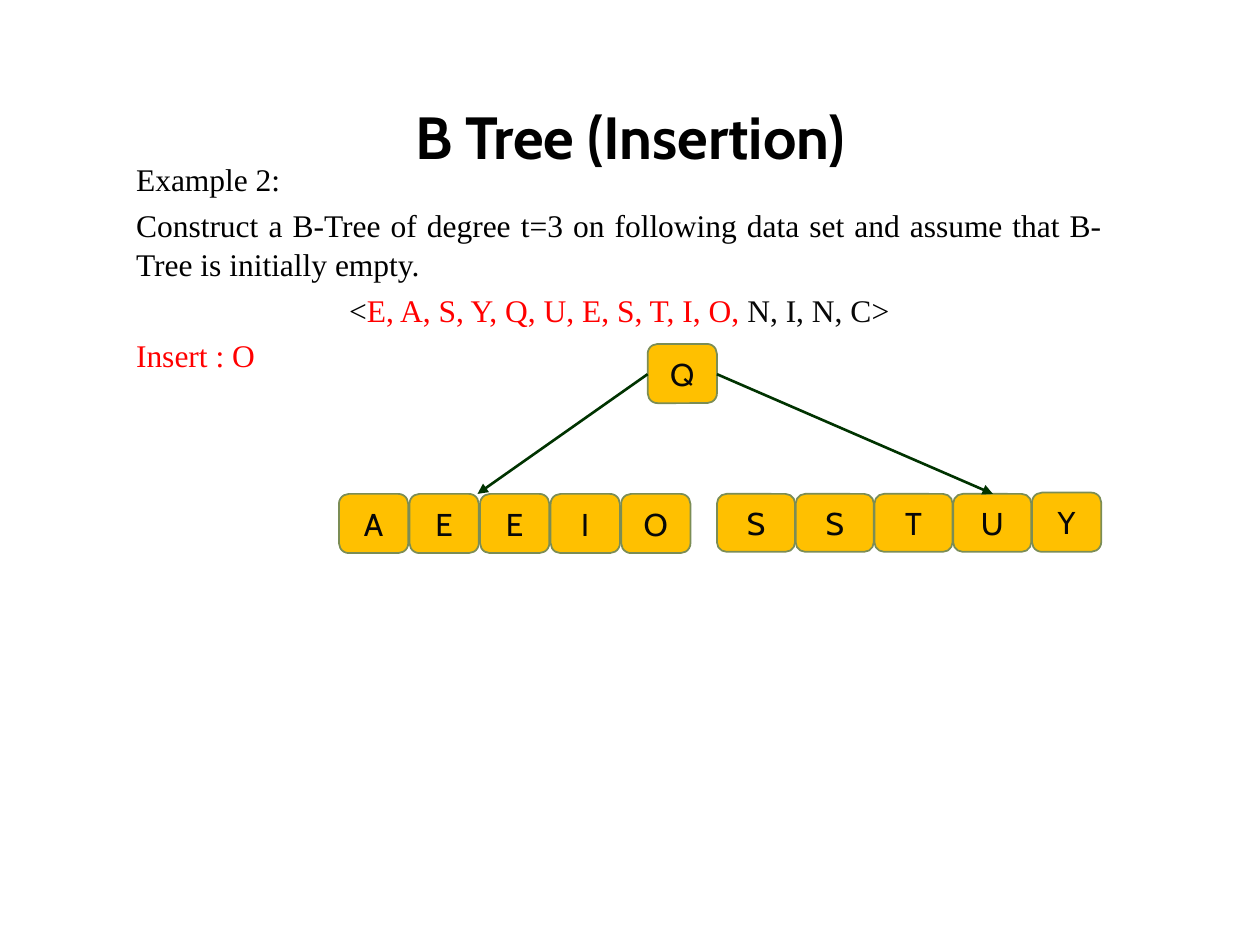
from lxml import etree
from pptx import Presentation
from pptx.dml.color import RGBColor
from pptx.enum.shapes import MSO_CONNECTOR as Connector, MSO_SHAPE as Shape
from pptx.enum.text import MSO_ANCHOR as Anchor, MSO_AUTO_SIZE as AutoSize, PP_ALIGN as Align
from pptx.oxml.ns import qn
from pptx.util import Inches, Pt

COLORS = {
    "black": "000000",
    "red": "FF0000",
    "key": "080808",
    "node": "FFC000",
    "border": "7B8D55",
    "arrow": "003300",
}
TITLE_FONT = {"name": "Cabin", "size": Pt(34), "bold": True}
BODY_FONT = {"name": "Times New Roman", "size": Pt(18)}
KEY_FONT = {"name": "Cabin", "size": Pt(18)}
BODY_SPACING = {"line_spacing": 1.04, "space_after": Pt(0)}

INTRO = [
    (Align.JUSTIFY, [("Example 2:", "black")]),
    (Align.JUSTIFY, [("Construct a B-Tree of degree t=3 on following data set and "
                      "assume that B-Tree is initially empty.", "black")]),
    (Align.CENTER, [("<", "black"), ("E, A, S, Y, Q, U, E, S, T, I, O, ", "red"),
                    ("N, I, N, C", "key"), (">", "black")]),
    (Align.LEFT, [("Insert : O", "red")]),
]


def rgb(name):
    return RGBColor.from_string(COLORS[name])


def apply(target, values):
    for name, value in values.items():
        setattr(target, name, value)


def place(shape, box):
    names = ("left", "top", "width", "height")
    apply(shape, dict(zip(names, map(Inches, box))))


def add_span(para, text, font, color):
    span = para.add_run()
    span.text = text
    apply(span.font, font)
    span.font.color.rgb = rgb(color)


def fill_title(title, box):
    place(title, box)
    frame = title.text_frame
    apply(frame, {"vertical_anchor": Anchor.MIDDLE, "auto_size": AutoSize.NONE})
    para = frame.paragraphs[0]
    para.alignment = Align.CENTER
    add_span(para, "B Tree (Insertion)", TITLE_FONT, "black")


def fill_intro(body, box):
    place(body, box)
    frame = body.text_frame
    apply(frame, {"vertical_anchor": Anchor.TOP, "auto_size": AutoSize.NONE,
                  "word_wrap": True})
    for index, (alignment, spans) in enumerate(INTRO):
        para = frame.add_paragraph() if index else frame.paragraphs[0]
        props = para._p.get_or_add_pPr()
        props.set("marL", "0")
        props.set("indent", "0")
        etree.SubElement(props, qn("a:buNone"))
        apply(para, BODY_SPACING)
        apply(para, {"alignment": alignment, "space_before": Pt(3.6 if index else 0)})
        for text, color in spans:
            add_span(para, text, BODY_FONT, color)


def add_key(page, letter, box):
    node = page.shapes.add_shape(Shape.ROUNDED_RECTANGLE, *map(Inches, box))
    node.shadow.inherit = False
    node.fill.solid()
    node.fill.fore_color.rgb = rgb("node")
    node.line.color.rgb = rgb("border")
    node.line.width = Pt(1)
    frame = node.text_frame
    frame.vertical_anchor = Anchor.MIDDLE
    para = frame.paragraphs[0]
    para.alignment = Align.CENTER
    add_span(para, letter, KEY_FONT, "key")


def add_leaf(page, letters, box, step):
    """Lay keys of the box's size side by side, one step apart."""
    left, top, width, height = box
    for index, letter in enumerate(letters):
        add_key(page, letter, (left + index * step, top, width, height))


def add_arrow(page, start, end):
    arrow = page.shapes.add_connector(Connector.STRAIGHT, *map(Inches, start + end))
    arrow.line.color.rgb = rgb("arrow")
    arrow.line.width = Pt(1.5)
    etree.SubElement(arrow.line._get_or_add_ln(), qn("a:tailEnd"), type="triangle")
    etree.SubElement(arrow._element.spPr, qn("a:effectLst"))


def add_tree(page, left, top):
    """Draw the root, its two leaves and the arrows between them."""
    key_width, key_height = 0.55, 0.47
    leaf_top = top + 1.19
    root_left = left + 2.45
    root_right = root_left + key_width
    root_middle = top + 0.24

    add_leaf(page, "AEEIO", (left, leaf_top, key_width, key_height), 0.56)
    add_leaf(page, "SSTU", (root_right, leaf_top, 0.62, 0.46), 0.625)
    add_key(page, "Y", (root_right + 2.5, leaf_top - 0.01, key_width, key_height))
    add_key(page, "Q", (root_left, top, key_width, key_height))
    add_arrow(page, (root_left, root_middle), (left + 1.1, leaf_top))
    add_arrow(page, (root_right, root_middle), (left + 5.19, leaf_top))


def main():
    deck = Presentation()
    deck.slide_width, deck.slide_height = Inches(10), Inches(7.5)
    page = deck.slides.add_slide(deck.slide_layouts[1])
    fill_title(page.shapes.title, (0.5, 0.68, 9, 0.79))
    fill_intro(page.placeholders[1], (0.98, 1.21, 7.87, 5.07))
    add_tree(page, 2.69, 2.73)
    deck.save("out.pptx")


if __name__ == "__main__":
    main()
